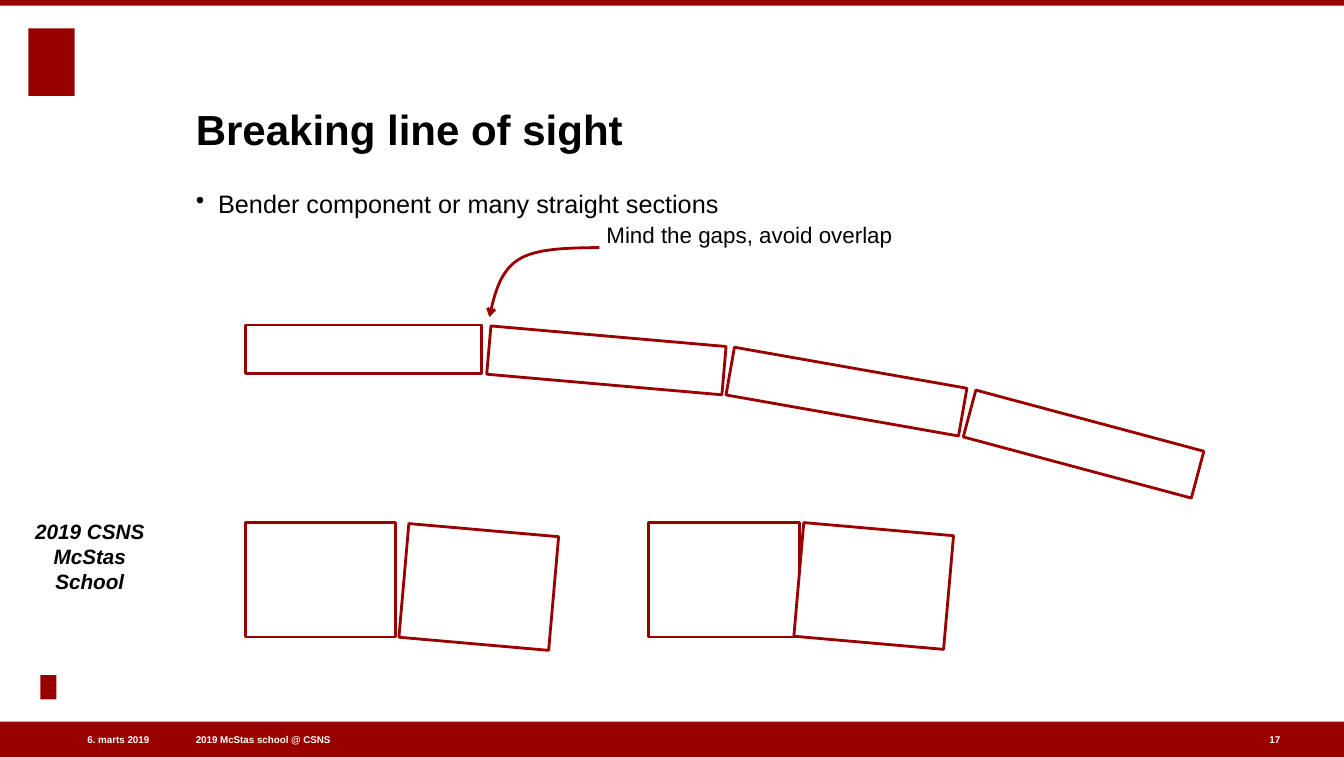
from dataclasses import dataclass

from lxml import etree
from pptx import Presentation
from pptx.dml.color import RGBColor
from pptx.enum.shapes import MSO_SHAPE
from pptx.enum.text import MSO_ANCHOR, MSO_AUTO_SIZE, PP_ALIGN
from pptx.oxml.ns import qn
from pptx.util import Pt

RECT = MSO_SHAPE.RECTANGLE
TOP, MIDDLE, BOTTOM = MSO_ANCHOR.TOP, MSO_ANCHOR.MIDDLE, MSO_ANCHOR.BOTTOM
LEFT, CENTER, RIGHT = PP_ALIGN.LEFT, PP_ALIGN.CENTER, PP_ALIGN.RIGHT
NO_AUTOFIT = MSO_AUTO_SIZE.NONE
TITLE_ONLY = 5


@dataclass(frozen=True)
class Theme:
    red: RGBColor = RGBColor(0x99, 0x00, 0x00)
    white: RGBColor = RGBColor(0xFF, 0xFF, 0xFF)
    black: RGBColor = RGBColor(0x00, 0x00, 0x00)
    font: str = "Arial"
    title: float = 30
    body: float = 18
    note: float = 16
    event: float = 14.8
    footer: float = 7
    line: float = 2


class Deck:
    def __init__(self, theme, width, height):
        self.theme = theme
        self.prs = Presentation()
        self.prs.slide_width, self.prs.slide_height = Pt(width), Pt(height)
        self.s = None

    def new_slide(self):
        self.s = self.prs.slides.add_slide(self.prs.slide_layouts[TITLE_ONLY])

    def fill_text(self, sp, lines, size, color, align=LEFT, anchor=TOP,
                  bold=False, italic=False, wrap=True, bullet=False):
        tf = sp.text_frame
        tf.margin_left = tf.margin_top = tf.margin_right = tf.margin_bottom = 0
        tf.auto_size = NO_AUTOFIT
        tf.word_wrap = wrap
        tf.vertical_anchor = anchor
        p = tf.paragraphs[0]
        p.alignment = align
        if bullet:
            pPr = p._p.get_or_add_pPr()
            pPr.set("marL", str(Pt(16)))
            pPr.set("indent", str(Pt(-16)))
            etree.SubElement(pPr, qn("a:buChar")).set("char", "•")
        for i, line in enumerate(lines):
            if i:
                p.add_line_break()
            r = p.add_run()
            r.text = line
            r.font.name, r.font.size = self.theme.font, Pt(size)
            r.font.bold, r.font.italic = bold, italic
            r.font.color.rgb = color

    def title(self, text, x, y, w, h):
        sp = self.s.shapes.title
        sp.left, sp.top, sp.width, sp.height = Pt(x), Pt(y), Pt(w), Pt(h)
        self.fill_text(sp, [text], self.theme.title, self.theme.black,
                       anchor=BOTTOM, bold=True)

    def text(self, lines, x, y, w, h, size, color, **style):
        sp = self.s.shapes.add_textbox(Pt(x), Pt(y), Pt(w), Pt(h))
        self.fill_text(sp, lines, size, color, **style)

    def bar(self, x, y, w, h):
        sp = self.s.shapes.add_shape(RECT, Pt(x), Pt(y), Pt(w), Pt(h))
        sp.shadow.inherit = False
        sp.fill.solid()
        sp.fill.fore_color.rgb = self.theme.red
        sp.line.fill.background()

    def outline(self, sp):
        sp.shadow.inherit = False
        sp.line.color.rgb = self.theme.red
        sp.line.width = Pt(self.theme.line)
        ln = sp._element.spPr.find(qn("a:ln"))
        etree.SubElement(ln, qn("a:round"))
        return ln

    def section(self, x, y, w, h, angle):
        sp = self.s.shapes.add_shape(RECT, Pt(x), Pt(y), Pt(w), Pt(h))
        sp.fill.solid()
        sp.fill.fore_color.rgb = self.theme.white
        self.outline(sp)
        sp.rotation = angle

    def curved_arrow(self, start, curves, steps=16):
        """Draw cubic curves, each given as two controls and an end point."""
        points, p0 = [], start
        for p1, p2, p3 in curves:
            for i in range(1, steps + 1):
                t = i / steps
                u = 1 - t
                points.append(tuple(
                    Pt(u**3 * a + 3 * u * u * t * b + 3 * u * t * t * c + t**3 * d)
                    for a, b, c, d in zip(p0, p1, p2, p3)))
            p0 = p3
        fb = self.s.shapes.build_freeform(Pt(start[0]), Pt(start[1]))
        fb.add_line_segments(points, close=False)
        sp = fb.convert_to_shape()
        sp.fill.background()
        ln = self.outline(sp)
        etree.SubElement(ln, qn("a:tailEnd")).set("type", "arrow")


def main():
    th = Theme()
    deck = Deck(th, 959.04, 540)
    deck.new_slide()

    # Bars and plain emblem blocks
    deck.bar(0, 0, 959.04, 4)
    deck.bar(0, 514.8, 959.04, 25.2)
    deck.bar(20.2, 20.2, 33.1, 48.2)
    deck.bar(28.8, 481.7, 11.5, 17.3)

    # Footer
    for text, x, w, align in (("6. marts 2019", 19.4, 87.1, RIGHT),
                              ("2019 McStas school @ CSNS", 139.7, 267.8, LEFT),
                              ("17", 905.8, 10, LEFT)):
        deck.text([text], x, 522.7, w, 10.1, th.footer, th.white,
                  align=align, anchor=MIDDLE, bold=True)

    # Event name
    deck.text(["2019 CSNS", "McStas School"], 24.5, 366.5, 79.2, 56.9,
              th.event, th.black, align=CENTER, anchor=BOTTOM,
              bold=True, italic=True)

    # Title and text
    deck.title("Breaking line of sight", 139.7, 33.8, 776.2, 76.3)
    deck.text(["Bender component or many straight sections"],
              139.7, 134.6, 733, 357.8, th.body, th.black, bullet=True)
    deck.text(["Mind the gaps, avoid overlap"],
              432.7, 157.7, 287.3, 28.8, th.note, th.black)

    # Bent guide: each section turns five degrees more
    guide = ((175, 231.8), (348.5, 239.8), (519.8, 262.1), (689, 299.5))
    for i, (x, y) in enumerate(guide):
        deck.section(x, y, 168.5, 34.6, 5 * i)

    # Arrow to the first gap
    deck.curved_arrow((427.7, 176.6), (
        ((405.4, 177), (383, 177), (370, 185.2)),
        ((356.5, 193.7), (352.8, 210.2), (349.2, 226.2))))

    # Close-ups: with a gap, then overlapping
    for x, next_x, next_y in ((175, 288, 378), (463, 569.8, 377.3)):
        deck.section(x, 373, 107.3, 81.4, 0)
        deck.section(next_x, next_y, 107.3, 81.4, 5)

    deck.prs.save("out.pptx")


if __name__ == "__main__":
    main()
